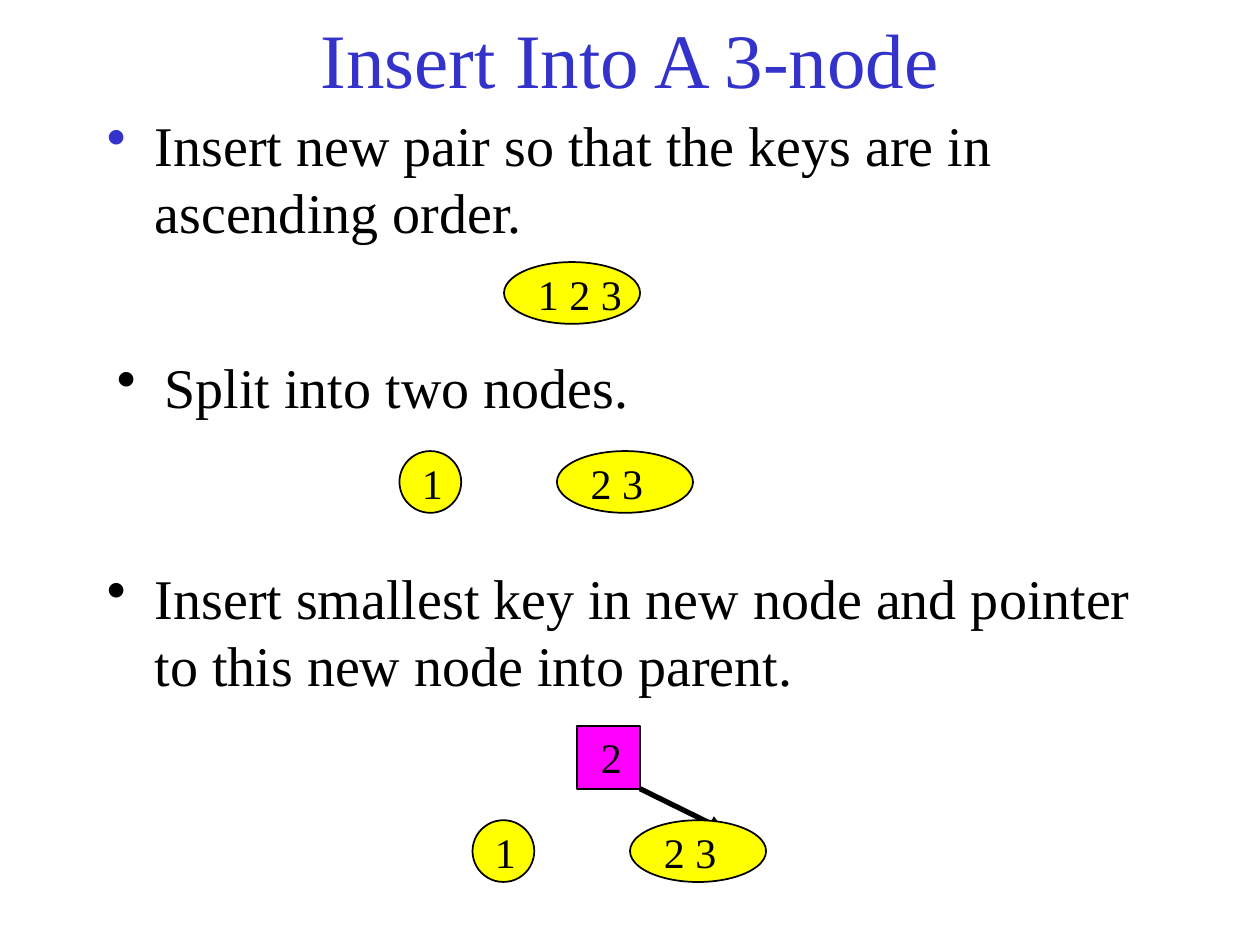
from lxml.etree import SubElement
from pptx import Presentation
from pptx.dml.color import RGBColor
from pptx.enum.shapes import MSO_CONNECTOR, MSO_SHAPE
from pptx.enum.text import MSO_ANCHOR, PP_ALIGN
from pptx.oxml.ns import qn
from pptx.util import Inches, Pt

BLACK = RGBColor(0x00, 0x00, 0x00)
BLUE = RGBColor(0x33, 0x33, 0xCC)
YELLOW = RGBColor(0xFF, 0xFF, 0x00)
MAGENTA = RGBColor(0xFF, 0x00, 0xFF)
FONT = "Times New Roman"
NODE_HEIGHT = 0.49
WIDE_NODE = 1.08
PARENT_SIZE = 0.5


def add_text(shapes, box, text, size, color=BLACK):
    """Add a one-paragraph text box and return it."""
    text_box = shapes.add_textbox(*map(Inches, box))
    text_box.text_frame.word_wrap = True
    paragraph = text_box.text_frame.paragraphs[0]
    paragraph.text = text
    paragraph.font.name = FONT
    paragraph.font.size = Pt(size)
    paragraph.font.color.rgb = color
    return text_box


def add_title(shapes, box, text):
    """Add the centred slide title."""
    frame = add_text(shapes, box, text, 44, BLUE).text_frame
    frame.vertical_anchor = MSO_ANCHOR.MIDDLE
    frame.paragraphs[0].alignment = PP_ALIGN.CENTER


def add_bullet(shapes, box, text, bullet_color=BLACK):
    """Add a bulleted statement with a hanging indent."""
    paragraph = add_text(shapes, box, text, 32).text_frame.paragraphs[0]
    properties = paragraph._p.get_or_add_pPr()
    properties.set("marL", str(Inches(0.38)))
    properties.set("indent", str(-Inches(0.38)))
    color = SubElement(properties, qn("a:buClr"))
    SubElement(color, qn("a:srgbClr"), val=str(bullet_color))
    character = SubElement(properties, qn("a:buChar"), char="•")
    for position, element in enumerate((color, character)):
        properties.insert(position, element)


def add_node(shapes, kind, box, fill, label, label_offset, label_width):
    """Add an outlined tree node with its keys."""
    left, top = box[:2]
    node = shapes.add_shape(kind, *map(Inches, box))
    node.shadow.inherit = False
    node.fill.solid()
    node.fill.fore_color.rgb = fill
    node.line.color.rgb = BLACK
    node.line.width = Pt(1)
    add_text(shapes, (left + label_offset, top, label_width, 0.5), label, 24)


def add_wide_node(shapes, left, top, label):
    """Add an oval node that holds several keys."""
    box = (left, top, WIDE_NODE, NODE_HEIGHT)
    add_node(shapes, MSO_SHAPE.OVAL, box, YELLOW, label, 0.17, 1.17)


def add_split_nodes(shapes, left, top):
    """Add the two nodes that result from a split."""
    add_wide_node(shapes, left + 1.25, top, "2 3")
    box = (left, top, NODE_HEIGHT, NODE_HEIGHT)
    add_node(shapes, MSO_SHAPE.OVAL, box, YELLOW, "1", 0.08, 0.42)


def add_pointer(shapes, start, end):
    """Add the arrow from the parent to the new node."""
    pointer = shapes.add_connector(
        MSO_CONNECTOR.STRAIGHT, *map(Inches, (*start, *end)))
    pointer.line.color.rgb = BLACK
    pointer.line.width = Pt(3)
    SubElement(pointer.line._get_or_add_ln(), qn("a:tailEnd"), type="triangle")
    SubElement(pointer._element.spPr, qn("a:effectLst"))


def add_parent_tree(shapes, left, top):
    """Add the parent key, its pointer and the split nodes below."""
    parent_left = left + 0.83
    box = (parent_left, top, PARENT_SIZE, PARENT_SIZE)
    add_node(shapes, MSO_SHAPE.RECTANGLE, box, MAGENTA, "2", 0.09, 0.75)
    corner = (parent_left + PARENT_SIZE, top + PARENT_SIZE)
    add_pointer(shapes, corner, (left + 2, top + 0.83))
    add_split_nodes(shapes, left, top + 0.75)


def build_slide(presentation):
    """Place the title, the three steps and their diagrams."""
    slide = presentation.slides.add_slide(presentation.slide_layouts[6])
    shapes = slide.shapes
    add_title(shapes, (0.75, 0, 8.5, 0.92), "Insert Into A 3-node")
    add_bullet(shapes, (0.75, 0.83, 8.5, 1.25),
               "Insert new pair so that the keys are in ascending order.", BLUE)
    add_bullet(shapes, (0.83, 2.75, 8.5, 0.75), "Split into two nodes.")
    add_bullet(shapes, (0.75, 4.42, 8.5, 0.75),
               "Insert smallest key in new node and pointer "
               "to this new node into parent.")
    add_wide_node(shapes.add_group_shape().shapes, 4, 2.08, "1 2 3")
    add_split_nodes(shapes.add_group_shape().shapes, 3.17, 3.58)
    add_parent_tree(shapes.add_group_shape().shapes, 3.75, 5.76)


def main():
    """Build and save the presentation."""
    presentation = Presentation()
    presentation.slide_width = Inches(10)
    presentation.slide_height = Inches(7.5)
    build_slide(presentation)
    presentation.save("out.pptx")


if __name__ == "__main__":
    main()
